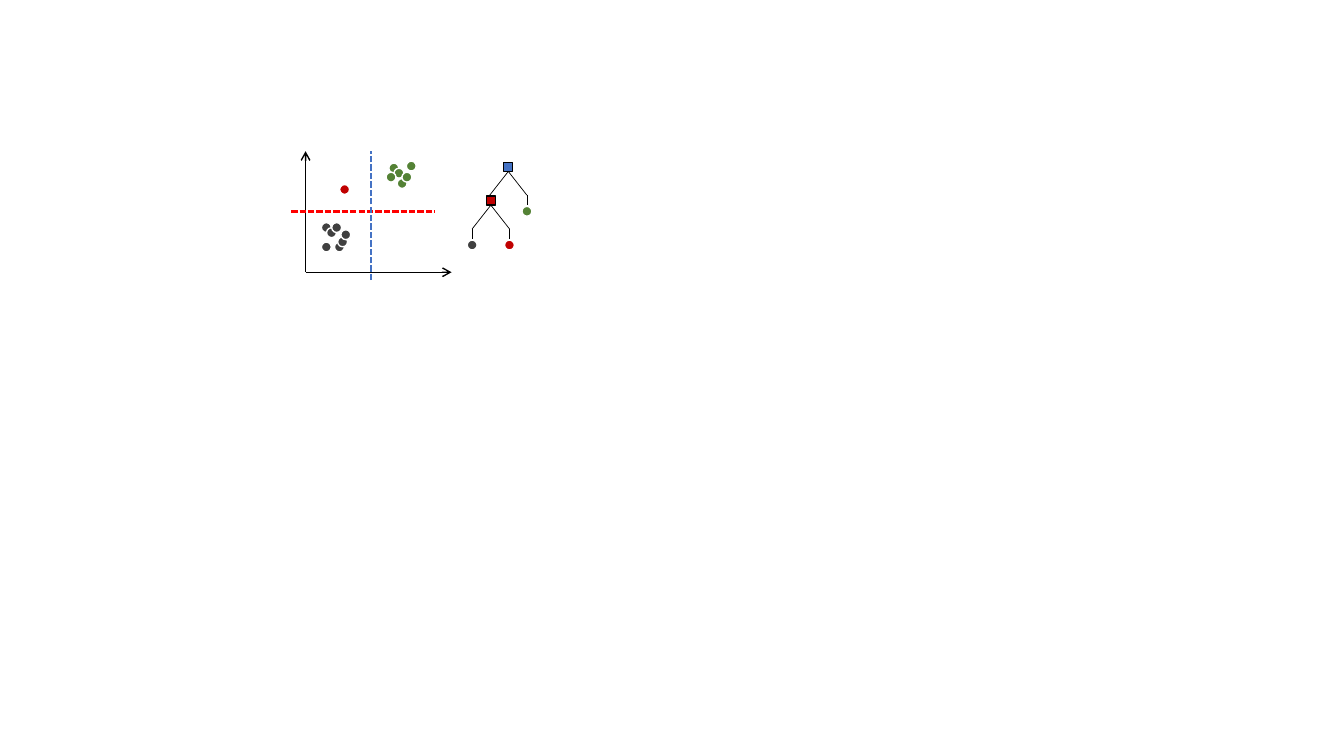
"""Build a slide with a two-split scatter plot and its decision tree."""
import pptx
import pptx.dml.color
import pptx.enum.dml
import pptx.enum.shapes
import pptx.oxml.ns
import pptx.util
from lxml import etree

Cm = pptx.util.Cm
SHAPES = pptx.enum.shapes.MSO_SHAPE
BLACK, WHITE, GRAY, GREEN = "000000", "FFFFFF", "404040", "548235"
DARK_RED, RED, BLUE = "C00000", "FF0000", "4472C4"

ORIGIN = (7.7, 6.86)
AXIS_ENDS = [(7.7, 3.81), (11.38, 6.86)]
SPLITS = [
    ((7.34, 5.33), (10.95, 5.33), RED),
    ((9.35, 7.06), (9.35, 3.81), BLUE),
]
CLUSTERS = {
    GRAY: [(8.1, 5.61), (8.23, 5.74), (8.36, 5.61), (8.1, 6.1),
           (8.43, 6.1), (8.51, 5.97), (8.59, 5.79)],
    GREEN: [(9.8, 4.11), (9.93, 4.24), (9.73, 4.34), (10.01, 4.5),
            (10.13, 4.34), (10.24, 4.06)],
    DARK_RED: [(8.56, 4.65)],
}
TREE_NODES = [
    {"apex": (12.81, 4.32), "color": BLUE, "leaves": (None, GREEN)},
    {"apex": (12.37, 5.17), "color": DARK_RED, "leaves": (GRAY, DARK_RED)},
]
DOT_SIZE, NODE_SIZE = 0.25, 0.23
BRANCH_SPREAD, BRANCH_DROP, STEM, LEAF_GAP = 0.47, 0.6, 0.25, 0.03


def rgb(color):
    return pptx.dml.color.RGBColor.from_string(color)


def add_mark(kind, left, top, size, fill, outline):
    shape = slide.shapes.add_shape(kind, Cm(left), Cm(top), Cm(size), Cm(size))
    shape.shadow.inherit = False
    shape.fill.solid()
    shape.fill.fore_color.rgb = rgb(fill)
    shape.line.color.rgb = rgb(outline)
    shape.line.width = pptx.util.Pt(1)


def add_dot(left, top, color):
    add_mark(SHAPES.OVAL, left, top, DOT_SIZE, color, WHITE)


def add_line(start, end, color, width, dashed=False, arrow=False):
    connector = slide.shapes.add_connector(
        pptx.enum.shapes.MSO_CONNECTOR.STRAIGHT,
        *(Cm(value) for value in (*start, *end)))
    connector.line.color.rgb = rgb(color)
    connector.line.width = pptx.util.Pt(width)
    if dashed:
        connector.line.dash_style = pptx.enum.dml.MSO_LINE.SQUARE_DOT
    if arrow:
        etree.SubElement(connector.get_or_add_ln(),
                         pptx.oxml.ns.qn("a:tailEnd"), type="arrow")
    etree.SubElement(connector.element.spPr, pptx.oxml.ns.qn("a:effectLst"))


def add_tree_node(apex, color, leaves):
    x, y = apex
    for side, leaf in zip((-1, 1), leaves):
        elbow = (x + side * BRANCH_SPREAD, y + BRANCH_DROP)
        add_line(apex, elbow, BLACK, 0.5)
        if leaf:
            tip = (elbow[0], elbow[1] + STEM)
            add_line(elbow, tip, BLACK, 0.5)
            add_dot(tip[0] - DOT_SIZE / 2, tip[1] + LEAF_GAP, leaf)
    add_mark(SHAPES.RECTANGLE, x - NODE_SIZE / 2, y - NODE_SIZE,
             NODE_SIZE, color, BLACK)


presentation = pptx.Presentation()
presentation.slide_width, presentation.slide_height = Cm(33.87), Cm(19.05)
slide = presentation.slides.add_slide(presentation.slide_layouts[6])

for axis_end in AXIS_ENDS:
    add_line(ORIGIN, axis_end, BLACK, 1, arrow=True)
for start, end, color in SPLITS:
    add_line(start, end, color, 1.5, dashed=True)
for color, dots in CLUSTERS.items():
    for left, top in dots:
        add_dot(left, top, color)
for node in TREE_NODES:
    add_tree_node(**node)

presentation.save("out.pptx")
